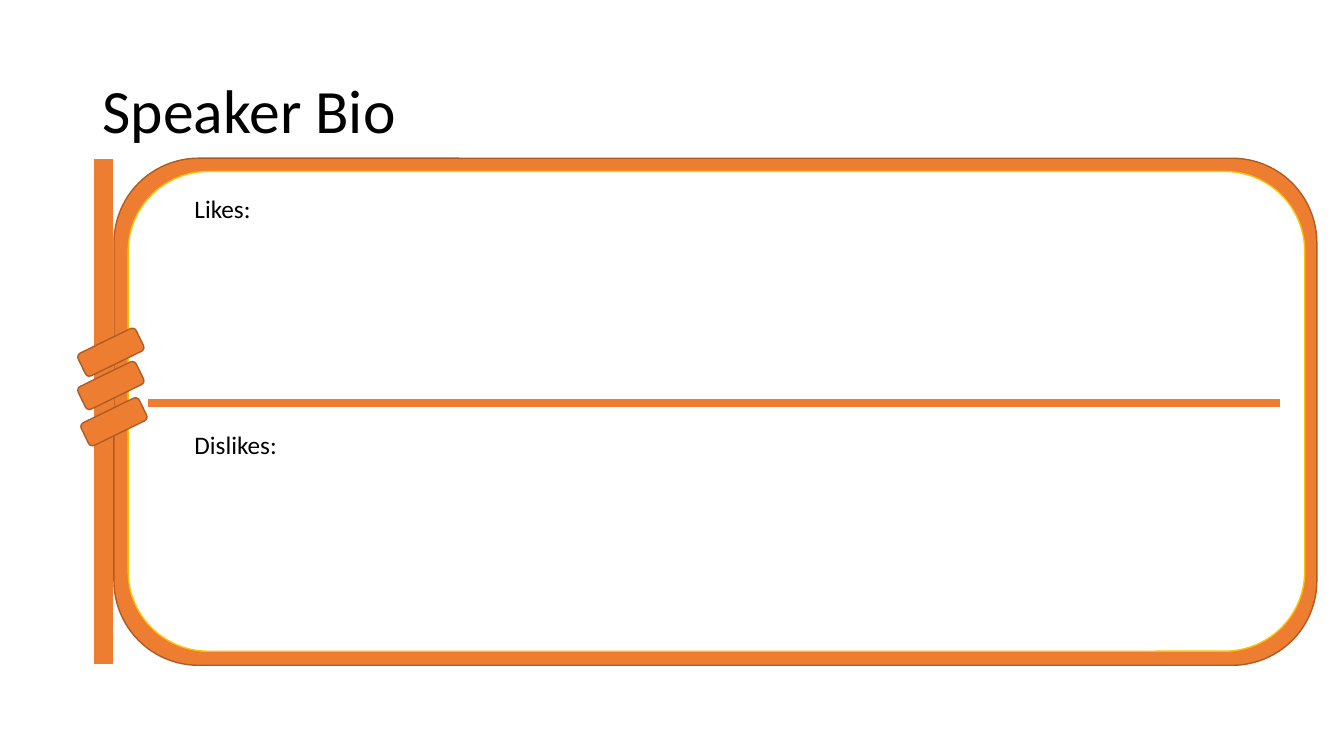
from pptx import Presentation
from pptx import util as u
from pptx.dml.color import RGBColor
from pptx.enum import shapes, text

ORANGE = RGBColor(0xED, 0x7D, 0x31)
BROWN = RGBColor(0xAF, 0x5C, 0x24)
GOLD = RGBColor(0xFF, 0xC0, 0x00)
WHITE = RGBColor(0xFF, 0xFF, 0xFF)
BLACK = RGBColor(0, 0, 0)
RECT = shapes.MSO_SHAPE.RECTANGLE
ROUND = shapes.MSO_SHAPE.ROUNDED_RECTANGLE

deck = Presentation()
deck.slide_width, deck.slide_height = u.Inches(13.33), u.Inches(7.5)
slide = deck.slides.add_slide(deck.slide_layouts[6])

# One column or row is a hundredth of the slide
column, row = deck.slide_width / 100, deck.slide_height / 100


def place(left, top, width, height):
    return int(left * column), int(top * row), int(width * column), int(height * row)


def add_block(preset, box, fill, edge, weight, turn=0):
    block = slide.shapes.add_shape(preset, *place(*box))
    block.shadow.inherit = False
    block.fill.solid()
    block.fill.fore_color.rgb = fill
    block.line.color.rgb = edge
    block.line.width = u.Pt(weight)
    block.rotation = turn


# Flagpole, flag with its inner panel, and divider
flag_top, flag_height = 20.93, 67.07
add_block(RECT, (6.9, flag_top, 1.58, flag_height), ORANGE, WHITE, 1.5)
add_block(ROUND, (8.48, flag_top, 89.5, flag_height), ORANGE, BROWN, 1)
add_block(ROUND, (9.53, 22.67, 87.55, 63.47), WHITE, GOLD, 1)
add_block(RECT, (10.91, 52.6, 84.4, 1.33), ORANGE, WHITE, 1.5)

# Bands tying the flag to the pole
for band_left, band_top in ((5.85, 44.93), (5.85, 49.33), (6.08, 54.13)):
    add_block(ROUND, (band_left, band_top, 4.8, 3.33), ORANGE, BROWN, 1, turn=334)

# Title and section labels
MIDDLE, TOP = text.MSO_ANCHOR.MIDDLE, text.MSO_ANCHOR.TOP
for wording, box, size, anchor, spacing in (
    ("Speaker Bio", (6.9, 5.33, 86.27, 19.33), 44, MIDDLE, 0.9),
    ("Likes:", (13.73, 24.93, 5.85, 5.33), 18, TOP, 1.0),
    ("Dislikes:", (13.73, 56.13, 14.03, 5.33), 18, TOP, 1.0),
):
    frame = slide.shapes.add_textbox(*place(*box)).text_frame
    frame.word_wrap = True
    frame.vertical_anchor = anchor
    paragraph = frame.paragraphs[0]
    paragraph.line_spacing = spacing
    run = paragraph.add_run()
    run.text = wording
    for key, value in {"name": "Calibri", "size": u.Pt(size)}.items():
        setattr(run.font, key, value)
    run.font.color.rgb = BLACK

deck.save("out.pptx")
